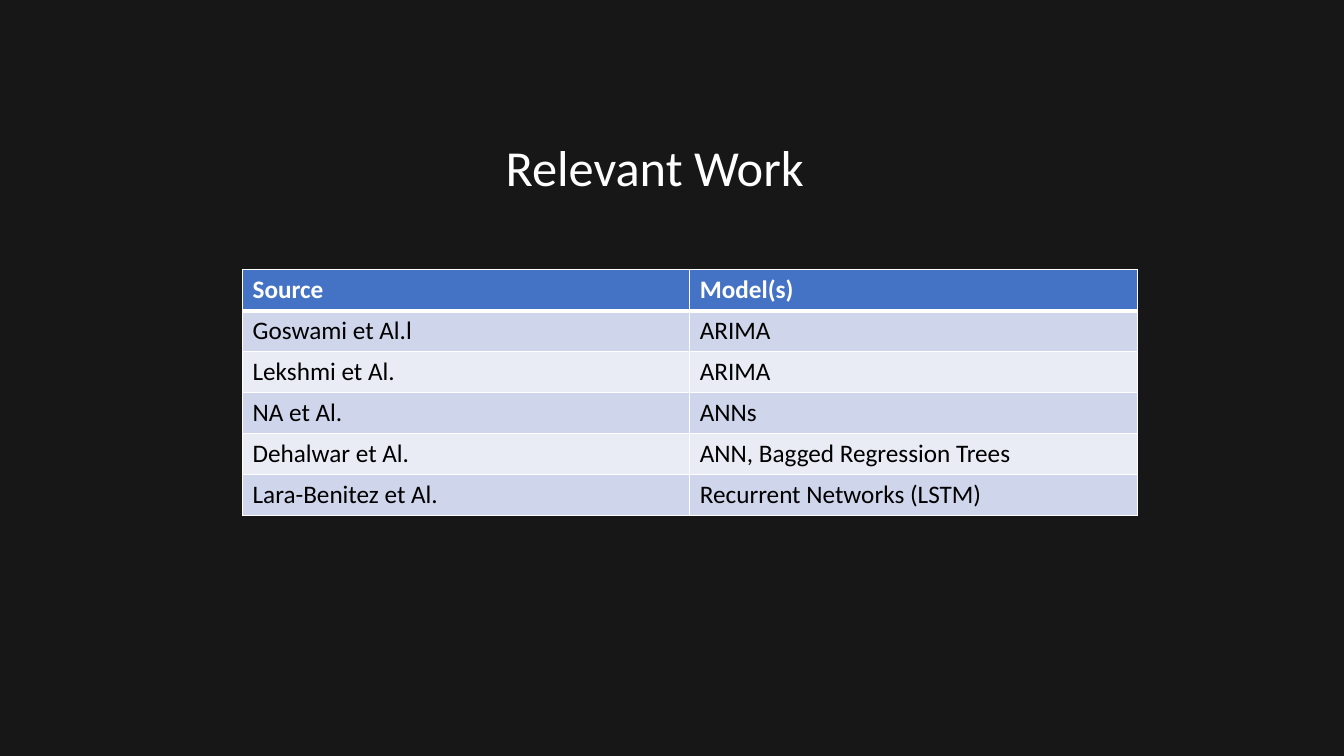
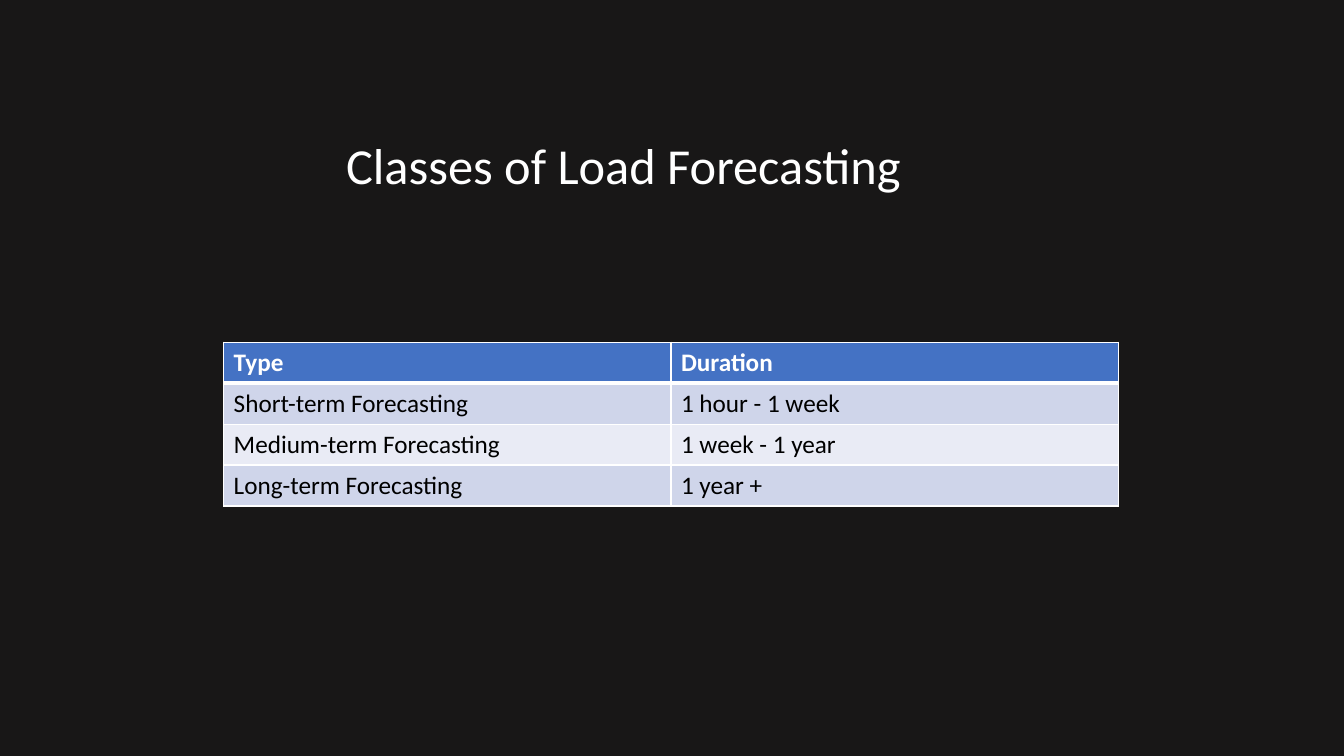
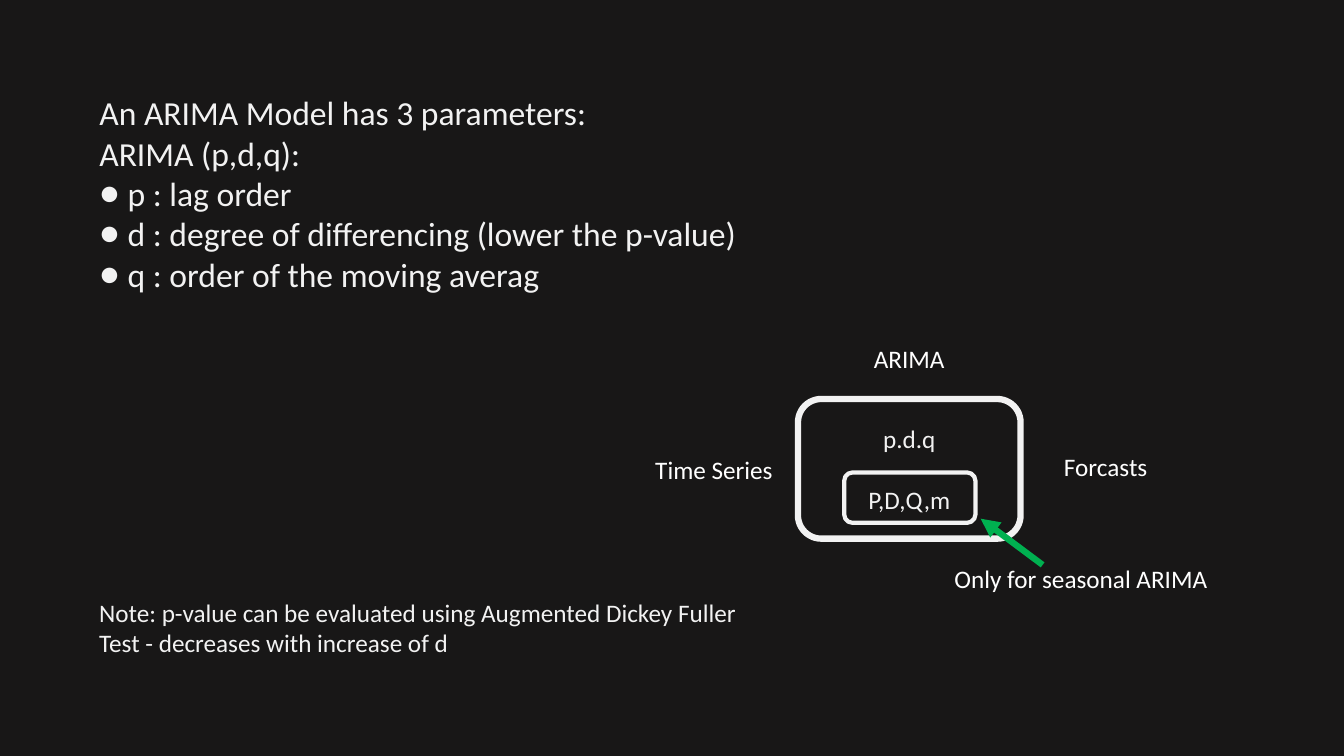
from lxml import etree
from pptx import Presentation
from pptx.dml.color import RGBColor
from pptx.enum.shapes import MSO_CONNECTOR, MSO_SHAPE
from pptx.enum.text import MSO_ANCHOR, MSO_AUTO_SIZE, PP_ALIGN
from pptx.oxml.ns import qn
from pptx.util import Pt

PX = 9525
TITLE_AND_BODY, TITLE_ONLY = 1, 5
ROUND_RECT = MSO_SHAPE.ROUNDED_RECTANGLE
STRAIGHT = MSO_CONNECTOR.STRAIGHT
TOP, MIDDLE = MSO_ANCHOR.TOP, MSO_ANCHOR.MIDDLE
LEFT, CENTER = PP_ALIGN.LEFT, PP_ALIGN.CENTER
NO_AUTOFIT = MSO_AUTO_SIZE.NONE

FONT = "Calibri"
BACKGROUND = RGBColor(0x18, 0x17, 0x17)
WHITE = RGBColor(0xFF, 0xFF, 0xFF)
BLACK = RGBColor(0x00, 0x00, 0x00)
PALE = RGBColor(0xF2, 0xF2, 0xF2)
GREEN = RGBColor(0x00, 0xB0, 0x50)
HEADER = RGBColor(0x44, 0x72, 0xC4)
BANDS = (RGBColor(0xE9, 0xEB, 0xF5), RGBColor(0xCF, 0xD5, 0xEA))

COL_W, ROW_H = 426, 39
BULLET_INDENT = 27


def px(*lengths):
    return [n * PX for n in lengths]


def add_xml(parent, tag, **attrs):
    return etree.SubElement(parent, qn(tag), attrs)


class Deck:
    """Shared style and the slide being built."""

    def __init__(self):
        self.prs = Presentation()
        self.prs.slide_width, self.prs.slide_height = px(1280, 720)
        fill = self.prs.slide_master.background.fill
        fill.solid()
        fill.fore_color.rgb = BACKGROUND
        self.slide = None

    def new_slide(self, layout):
        self.slide = self.prs.slides.add_slide(self.prs.slide_layouts[layout])

    def place(self, sp, x, y, w, h):
        sp.left, sp.top, sp.width, sp.height = px(x, y, w, h)

    def add_text(self, p, text, size, color, align=LEFT, bold=False):
        p.alignment = align
        r = p.add_run()
        r.text = text
        font = r.font
        font.name, font.size, font.bold = FONT, Pt(size), bold
        font.color.rgb = color

    def frame(self, sp, anchor):
        tf = sp.text_frame
        tf.word_wrap = True
        tf.auto_size = NO_AUTOFIT
        tf.vertical_anchor = anchor
        return tf

    def title(self, text, *box):
        sp = self.slide.shapes.title
        self.place(sp, *box)
        self.add_text(self.frame(sp, TOP).paragraphs[0], text, 36, WHITE)

    def body(self, intro, bullets, *box):
        """Plain intro lines, then a bulleted list."""
        sp = self.slide.placeholders[1]
        self.place(sp, *box)
        tf = self.frame(sp, TOP)
        for i, text in enumerate(intro + bullets):
            p = tf.add_paragraph() if i else tf.paragraphs[0]
            self.add_text(p, text, 24, PALE)
            p.space_before = Pt(0)
            indent = BULLET_INDENT * PX if i >= len(intro) else 0
            pPr = p._p.get_or_add_pPr()
            pPr.set("marL", str(indent))
            pPr.set("indent", str(-indent))
            if indent:
                add_xml(pPr, "a:buFont", typeface=FONT)
                add_xml(pPr, "a:buChar", char="●")
            else:
                add_xml(pPr, "a:buNone")

    def text(self, text, *box, color=WHITE, align=CENTER, anchor=MIDDLE):
        sp = self.slide.shapes.add_textbox(*px(*box))
        p = self.frame(sp, anchor).paragraphs[0]
        self.add_text(p, text, 18, color, align)

    def outline(self, weight, *box, lines=(), gap=0):
        """Unfilled rounded box, with gap points between its lines of text."""
        sp = self.slide.shapes.add_shape(ROUND_RECT, *px(*box))
        sp.shadow.inherit = False
        sp.fill.background()
        sp.line.color.rgb = PALE
        sp.line.width = Pt(weight)
        tf = self.frame(sp, MIDDLE)
        for i, text in enumerate(lines):
            p = tf.add_paragraph() if i else tf.paragraphs[0]
            self.add_text(p, text, 18, PALE, CENTER)
            p.space_before = Pt(gap if i else 0)

    def arrow(self, *ends):
        c = self.slide.shapes.add_connector(STRAIGHT, *px(*ends))
        c.line.color.rgb = GREEN
        c.line.width = Pt(4.5)
        spPr = c._element.spPr
        add_xml(spPr.find(qn("a:ln")), "a:tailEnd", type="triangle")
        add_xml(spPr, "a:effectLst")

    def borders(self, cell, top, bottom):
        tcPr = cell._tc.get_or_add_tcPr()
        for side, weight in (("L", 1), ("R", 1), ("T", top), ("B", bottom)):
            ln = add_xml(tcPr, f"a:ln{side}", w=str(Pt(weight)))
            fill = add_xml(ln, "a:solidFill")
            add_xml(fill, "a:srgbClr", val=str(WHITE))

    def table(self, x, y, rows):
        n_rows, n_cols = len(rows), len(rows[0])
        box = px(x, y, COL_W * n_cols, ROW_H * n_rows)
        table = self.slide.shapes.add_table(n_rows, n_cols, *box).table
        for i, row in enumerate(rows):
            head = i == 0
            for j, text in enumerate(row):
                cell = table.cell(i, j)
                self.borders(cell, 3 if i == 1 else 1, 3 if head else 1)
                cell.fill.solid()
                cell.fill.fore_color.rgb = HEADER if head else BANDS[i % 2]
                self.add_text(cell.text_frame.paragraphs[0], text, 18,
                              WHITE if head else BLACK, bold=head)


def main():
    deck = Deck()

    deck.new_slide(TITLE_ONLY)
    deck.title("Relevant Work", 472, 125, 334, 68)
    deck.table(231, 257, [
        ("Source", "Model(s)"),
        ("Goswami et Al.l", "ARIMA"),
        ("Lekshmi et Al.", "ARIMA"),
        ("NA et Al.", "ANNs"),
        ("Dehalwar et Al.", "ANN, Bagged Regression Trees"),
        ("Lara-Benitez et Al.", "Recurrent Networks (LSTM)"),
    ])

    deck.new_slide(TITLE_ONLY)
    deck.title("Classes of Load Forecasting", 320, 123, 568, 68)
    deck.table(213, 326, [
        ("Type", "Duration"),
        ("Short-term Forecasting", "1 hour - 1 week"),
        ("Medium-term Forecasting", "1 week - 1 year"),
        ("Long-term Forecasting", "1 year +"),
    ])

    deck.new_slide(TITLE_AND_BODY)
    title = deck.slide.shapes.title._element
    title.getparent().remove(title)
    deck.body(
        ["An ARIMA Model has 3 parameters:", "ARIMA (p,d,q):"],
        ["p : lag order",
         "d : degree of differencing (lower the p-value)",
         "q : order of the moving averag"],
        85, 83, 776, 204)
    deck.outline(4.5, 760, 380, 212, 133, lines=("p.d.q", "P,D,Q,m"), gap=22)
    deck.outline(3, 804, 450, 125, 48)
    for text, x, y, w in (("Time Series", 611, 427, 138),
                          ("Forcasts", 984, 424, 138),
                          ("Only for seasonal ARIMA", 883, 531, 293),
                          ("ARIMA", 797, 321, 138)):
        deck.text(text, x, y, w, 40)
    deck.arrow(993, 538, 934, 494)
    deck.text("Note: p-value can be evaluated using Augmented Dickey Fuller "
              "Test - decreases with increase of d",
              85, 564, 640, 68, color=PALE, align=LEFT, anchor=TOP)

    deck.prs.save("out.pptx")


if __name__ == "__main__":
    main()
